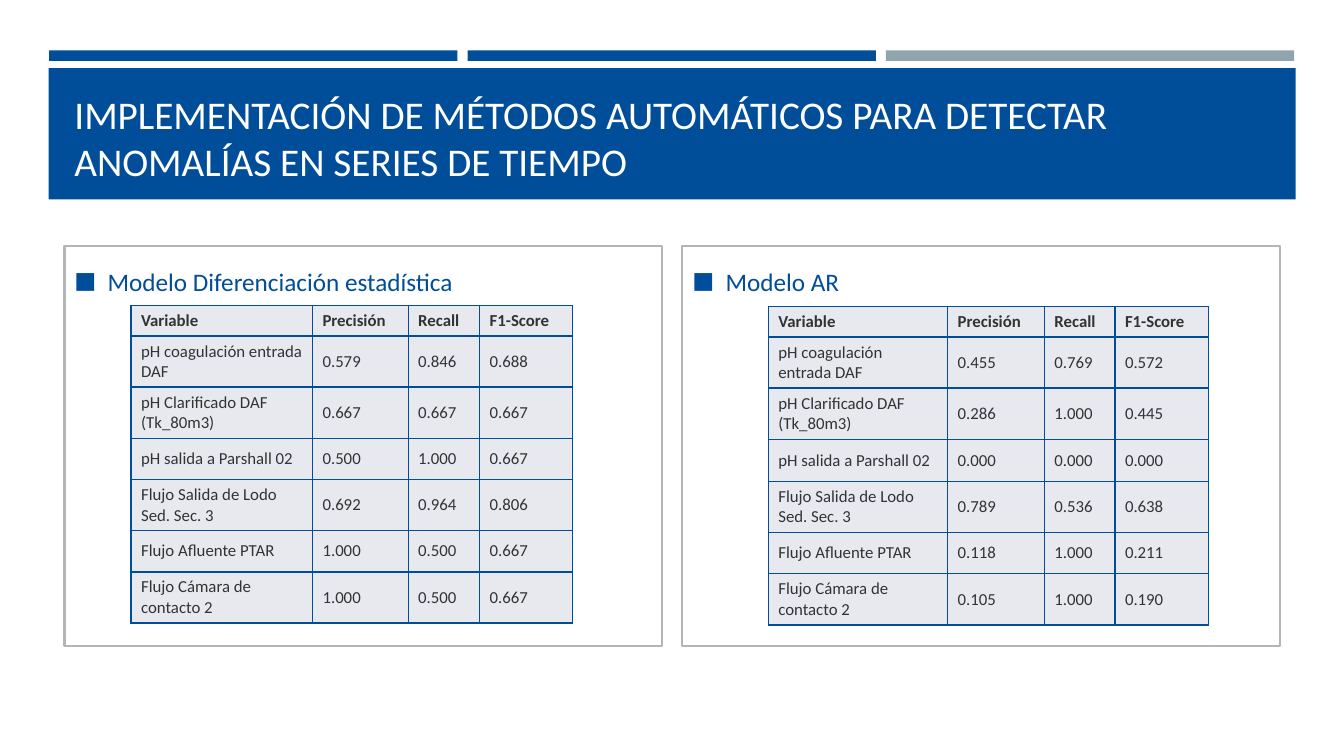
from dataclasses import dataclass

from lxml.etree import SubElement as Sub
from pptx import Presentation
from pptx.dml.color import RGBColor as RGB
from pptx.enum.shapes import MSO_SHAPE as Kind
from pptx.enum.text import MSO_ANCHOR as Anchor, PP_ALIGN as Align
from pptx.oxml.ns import qn
from pptx.shapes.autoshape import Shape
from pptx.slide import Slide
from pptx.table import _Cell as Cell
from pptx.text.text import _Paragraph as Para
from pptx.util import Emu, Inches, Pt

BLUE = RGB(0x00, 0x4D, 0x99)
STEEL = RGB(0x90, 0xA4, 0xAE)
FRAME = RGB(0xB5, 0xB5, 0xB5)
PALE = RGB(0xE7, 0xE9, 0xEF)
INK = RGB(0x33, 0x33, 0x33)
WHITE = RGB(0xFF, 0xFF, 0xFF)
FONT = "Calibri"
WIDTH, HEIGHT = Inches(13.333), Inches(7.5)
TITLE = "IMPLEMENTACIÓN DE MÉTODOS AUTOMÁTICOS PARA DETECTAR ANOMALÍAS EN SERIES DE TIEMPO"
HEADER = ("Variable", "Precisión", "Recall", "F1-Score")
NAMES = (
    "pH coagulación entrada DAF",
    "pH Clarificado DAF (Tk_80m3)",
    "pH salida a Parshall 02",
    "Flujo Salida de Lodo Sed. Sec. 3",
    "Flujo Afluente PTAR",
    "Flujo Cámara de contacto 2",
)


@dataclass(frozen=True)
class Box:
    """Place and size in percent of the slide's width and height."""
    left: float
    top: float
    width: float
    height: float

    def emu(self) -> tuple[Emu, Emu, Emu, Emu]:
        return wide(self.left), tall(self.top), wide(self.width), tall(self.height)


@dataclass(frozen=True)
class Model:
    name: str
    left: float
    top: float
    cols: tuple[float, ...]
    rows: tuple[float, ...]
    scores: tuple[tuple[float, float, float], ...]


MODELS = (
    Model("Modelo Diferenciación estadística", 9.75, 40.4,
          (13.5, 7.12, 5.32, 6.9), (4, 6.75, 6.75, 5.47, 6.75, 5.47, 6.75),
          ((0.579, 0.846, 0.688), (0.667, 0.667, 0.667), (0.5, 1, 0.667),
           (0.692, 0.964, 0.806), (1, 0.5, 0.667), (1, 0.5, 0.667))),
    Model("Modelo AR", 57.16, 40.53,
          (13.35, 7.2, 5.25, 6.97), (4, 6.75, 6.75, 5.6, 6.75, 5.47, 6.75),
          ((0.455, 0.769, 0.572), (0.286, 1, 0.445), (0, 0, 0),
           (0.789, 0.536, 0.638), (0.118, 1, 0.211), (0.105, 1, 0.19))),
)


def wide(share: float) -> Emu:
    return Emu(round(WIDTH * share / 100))


def tall(share: float) -> Emu:
    return Emu(round(HEIGHT * share / 100))


def write(para: Para, text: str, size: float, color: RGB, bold: bool = False) -> None:
    run = para.add_run()
    run.text = text
    run.font.name = FONT
    run.font.size = Pt(size)
    run.font.bold = bold
    run.font.color.rgb = color


def add_bar(slide: Slide, box: Box, color: RGB) -> None:
    bar = slide.shapes.add_shape(Kind.RECTANGLE, *box.emu())
    bar.shadow.inherit = False
    bar.fill.solid()
    bar.fill.fore_color.rgb = color
    bar.line.fill.background()


def add_title(slide: Slide) -> None:
    frame = slide.shapes.add_textbox(*Box(4.8, 10.27, 90.47, 14.8).emu()).text_frame
    frame.word_wrap = True
    frame.vertical_anchor = Anchor.BOTTOM
    write(frame.paragraphs[0], TITLE, 28, WHITE)


def add_bullet(para: Para) -> None:
    props = para._p.get_or_add_pPr()
    props.set("marL", str(Inches(0.33)))
    props.set("indent", str(-Inches(0.33)))
    Sub(Sub(props, qn("a:buClr")), qn("a:srgbClr"), val=str(BLUE))
    Sub(props, qn("a:buSzPct"), val="92000")
    Sub(props, qn("a:buFont"), typeface=FONT)
    Sub(props, qn("a:buChar"), char="■")


def add_panel(slide: Slide, box: Box, name: str) -> None:
    panel: Shape = slide.shapes.add_shape(Kind.RECTANGLE, *box.emu())
    panel.shadow.inherit = False
    panel.fill.background()
    panel.line.color.rgb = FRAME
    panel.line.width = Pt(1.5)
    frame = panel.text_frame
    frame.word_wrap = True
    frame.vertical_anchor = Anchor.TOP
    para = frame.paragraphs[0]
    para.alignment = Align.LEFT
    para.line_spacing = 1.5
    para.space_after = Pt(6)
    add_bullet(para)
    write(para, name, 18, BLUE)


def fill_cell(cell: Cell, text: str, bold: bool) -> None:
    props = cell._tc.get_or_add_tcPr()
    for side in ("lnL", "lnR", "lnT", "lnB"):
        line = Sub(props, qn(f"a:{side}"), w=str(Pt(1)))
        Sub(Sub(line, qn("a:solidFill")), qn("a:srgbClr"), val=str(BLUE))
    cell.fill.solid()
    cell.fill.fore_color.rgb = PALE
    cell.vertical_anchor = Anchor.MIDDLE
    write(cell.text_frame.paragraphs[0], text, 12, INK, bold)


def add_scores(slide: Slide, model: Model) -> None:
    box = Box(model.left, model.top, sum(model.cols), sum(model.rows))
    table = slide.shapes.add_table(len(model.rows), len(model.cols), *box.emu()).table
    table.first_row = table.horz_banding = False
    for col, share in zip(table.columns, model.cols):
        col.width = wide(share)
    for row, share in zip(table.rows, model.rows):
        row.height = tall(share)
    body = [(name, *(f"{score:.3f}" for score in line))
            for name, line in zip(NAMES, model.scores)]
    for r, line in enumerate([HEADER, *body]):
        for c, text in enumerate(line):
            fill_cell(table.cell(r, c), text, bold=r == 0)


def main() -> None:
    deck = Presentation()
    deck.slide_width, deck.slide_height = WIDTH, HEIGHT
    slide = deck.slides.add_slide(deck.slide_layouts[6])
    for i, color in enumerate((BLUE, BLUE, STEEL)):
        add_bar(slide, Box(3.66 + 31.13 * i, 6.67, 30.38, 1.4), color)
    add_bar(slide, Box(3.62, 9, 92.78, 17.36), BLUE)
    for i, model in enumerate(MODELS):
        add_panel(slide, Box(4.8 + 45.98 * i, 32.53, 44.48, 52.97), model.name)
    for model in MODELS:
        add_scores(slide, model)
    add_title(slide)
    deck.save("out.pptx")


if __name__ == "__main__":
    main()
